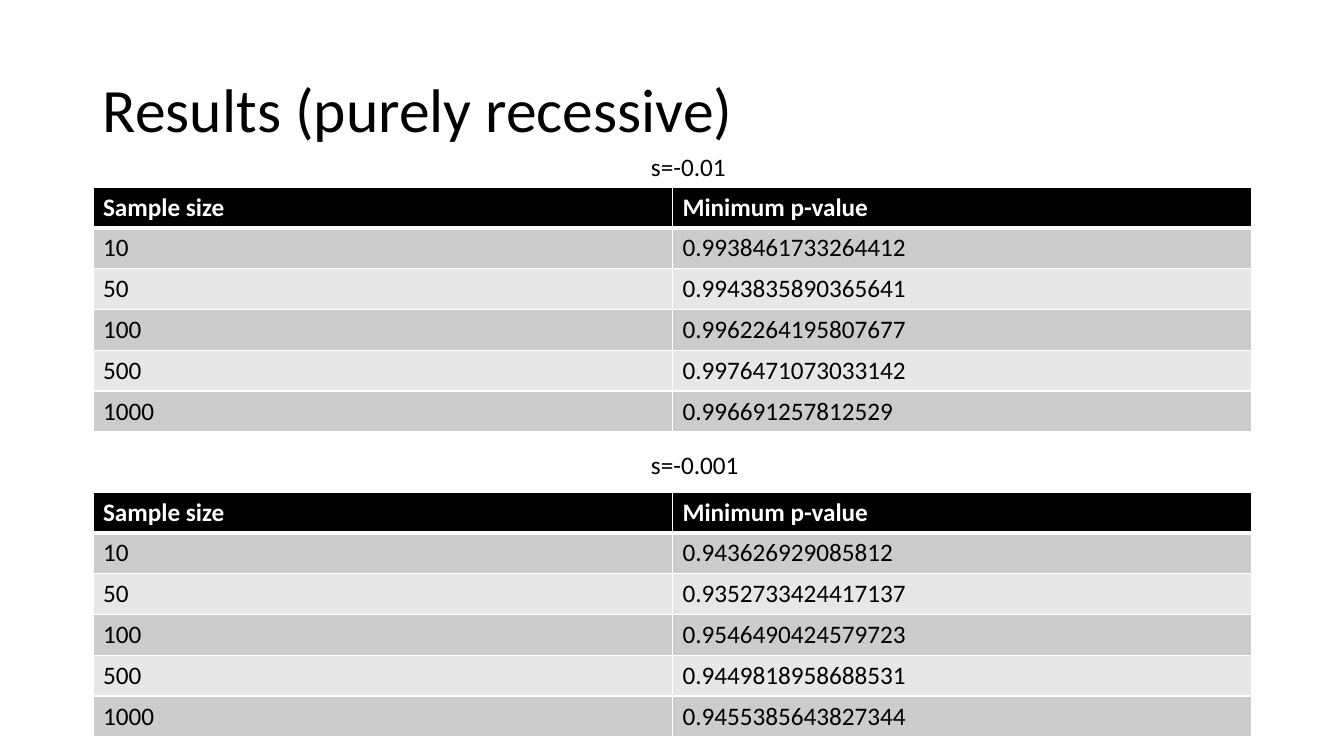
import pptx
import pptx.util
import pptx.dml.color
import pptx.enum.text
import pptx.oxml
import pptx.oxml.ns

TITLE = "Results (purely recessive)"
HEADER = ("Sample size", "Minimum p-value")
SIZES = ("10", "50", "100", "500", "1000")
# caption, caption top, caption width, table top, p-values
RESULTS = [
    ("s=-0.01", 146, 101, 187,
     ("0.9938461733264412", "0.9943835890365641", "0.9962264195807677",
      "0.9976471073033142", "0.996691257812529")),
    ("s=-0.001", 444, 121, 492,
     ("0.943626929085812", "0.9352733424417137", "0.9546490424579723",
      "0.9449818958688531", "0.9455385643827344")),
]

COLORS = {"text": "000000", "header": "000000", "header_text": "FFFFFF",
          "odd": "CCCCCC", "even": "E7E7E7", "border": "FFFFFF"}
FONT = "Calibri"
SLIDE_W, SLIDE_H = 1344, 756
LEFT, WIDTH = 93, 1159
TITLE_TOP, TITLE_H = 40, 146
TABLE_H = 245
CAPTION_LEFT, CAPTION_H = 641, 40
THIN, THICK = 1, 3


def px(n):
    """Turn slide pixels into EMU."""
    return round(n * 12192000 / SLIDE_W)


def rgb(name):
    """Look up a colour by name."""
    return pptx.dml.color.RGBColor.from_string(COLORS[name])


def write(tf, text, size, color="text", bold=False):
    """Put one styled run in the first paragraph and return the paragraph."""
    p = tf.paragraphs[0]
    r = p.add_run()
    r.text = text
    r.font.name = FONT
    r.font.size = pptx.util.Pt(size)
    r.font.bold = bold
    r.font.color.rgb = rgb(color)
    return p


def add_text(s, box, text, size):
    """Add a wrapping text box; return its frame and paragraph."""
    tf = s.shapes.add_textbox(*map(px, box)).text_frame
    tf.word_wrap = True
    return tf, write(tf, text, size)


def set_borders(cell, top, bottom):
    """Draw the four cell borders, with widths in points."""
    tcPr = cell._tc.get_or_add_tcPr()
    sides = (("L", THIN), ("R", THIN), ("T", top), ("B", bottom))
    for i, (side, width) in enumerate(sides):
        tcPr.insert(i, pptx.oxml.parse_xml(
            f'<a:ln{side} {pptx.oxml.ns.nsdecls("a")} w="{pptx.util.Pt(width)}">'
            f'<a:solidFill><a:srgbClr val="{COLORS["border"]}"/></a:solidFill>'
            f'</a:ln{side}>'))


def add_results(s, top, p_values):
    """Add a banded table of sample sizes and p-values."""
    rows = [HEADER, *zip(SIZES, p_values)]
    table = s.shapes.add_table(len(rows), len(HEADER), px(LEFT), px(top),
                               px(WIDTH), px(TABLE_H)).table
    for i, row in enumerate(rows):
        fill = "header" if i == 0 else "odd" if i % 2 else "even"
        for j, text in enumerate(row):
            cell = table.cell(i, j)
            cell.fill.solid()
            cell.fill.fore_color.rgb = rgb(fill)
            set_borders(cell, THICK if i == 1 else THIN,
                        THICK if i == 0 else THIN)
            write(cell.text_frame, text, 18,
                  "text" if i else "header_text", i == 0)


prs = pptx.Presentation()
prs.slide_width, prs.slide_height = px(SLIDE_W), px(SLIDE_H)
s = prs.slides.add_slide(prs.slide_layouts[6])

tf, p = add_text(s, (LEFT, TITLE_TOP, WIDTH, TITLE_H), TITLE, 44)
tf.vertical_anchor = pptx.enum.text.MSO_ANCHOR.MIDDLE
p.line_spacing = 0.9

for caption, caption_top, caption_w, table_top, p_values in RESULTS:
    add_results(s, table_top, p_values)
    add_text(s, (CAPTION_LEFT, caption_top, caption_w, CAPTION_H), caption, 18)

prs.save("out.pptx")
